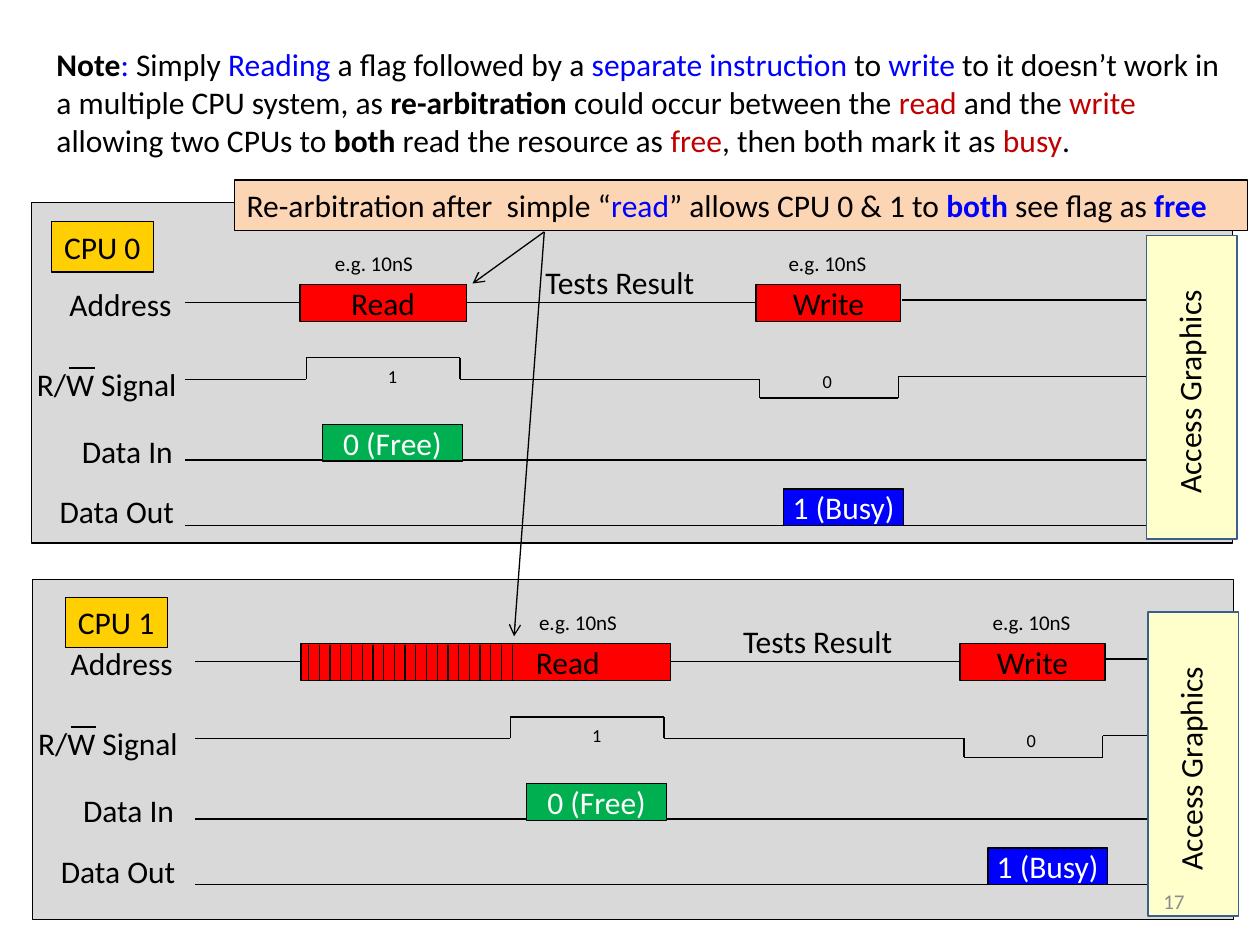
from itertools import pairwise

from lxml import etree
from pptx import Presentation
from pptx.dml.color import RGBColor
from pptx.enum.shapes import MSO_CONNECTOR, MSO_SHAPE
from pptx.enum.text import MSO_ANCHOR, PP_ALIGN
from pptx.oxml.ns import qn
from pptx.util import Inches, Pt

LEFT, CENTER, RIGHT = PP_ALIGN.LEFT, PP_ALIGN.CENTER, PP_ALIGN.RIGHT
TOP, MIDDLE = MSO_ANCHOR.TOP, MSO_ANCHOR.MIDDLE
RECTANGLE, STRAIGHT = MSO_SHAPE.RECTANGLE, MSO_CONNECTOR.STRAIGHT
BLACK, WHITE, BLUE, CRIMSON = "000000", "FFFFFF", "0000FF", "C00000"
RED, GREEN, YELLOW, CREAM = "FF0000", "00B050", "FFCF01", "FFFFCC"

NOTE = [
    ("Note", BLACK, True), (": ", BLUE, False), ("Simply ", BLACK, False),
    ("Reading", BLUE, False), (" a flag followed by a ", BLACK, False),
    ("separate instruction ", BLUE, False), ("to", BLACK, False),
    (" write", BLUE, False),
    (" to it doesn’t work in a multiple CPU system, as ", BLACK, False),
    ("re-arbitration", BLACK, True),
    (" could occur between the ", BLACK, False), ("read", CRIMSON, False),
    (" and the ", BLACK, False), ("write", CRIMSON, False),
    (" allowing two CPUs to ", BLACK, False), ("both", BLACK, True),
    (" read the resource as ", BLACK, False), ("free", CRIMSON, False),
    (", then both mark it as ", BLACK, False), ("busy", CRIMSON, False),
    (".", BLACK, False),
]
CALLOUT = [
    ("Re-arbitration after  simple “", BLACK, False), ("read", BLUE, False),
    ("” allows CPU 0 & 1 to ", BLACK, False), ("both ", BLUE, True),
    ("see flag as ", BLACK, False), ("free", BLUE, True),
]
# Text, left and top of the signal names, from the corner of the timing area
SIGNALS = [("Address", -0.19, 0.6), ("R/W Signal", -0.15, 1.24),
           ("Data In", -0.18, 1.77), ("Data Out", -0.17, 2.25)]
LINE_END = 9.47


def rgb(color):
    return RGBColor.from_string(color)


def write_text(shape, spans, size=18, align=LEFT, anchor=TOP, wrap=False,
               color=BLACK):
    """Fill a shape with a string, or with (text, colour, bold) spans."""
    frame = shape.text_frame
    for name, value in {"word_wrap": wrap, "vertical_anchor": anchor}.items():
        setattr(frame, name, value)
    para = frame.paragraphs[0]
    para.alignment = align
    if isinstance(spans, str):
        spans = [(spans, color, False)]
    for text, span_color, bold in spans:
        span = para.add_run()
        span.text = text
        formats = {"name": "Calibri", "size": Pt(size), "bold": bold}
        for name, value in formats.items():
            setattr(span.font, name, value)
        span.font.color.rgb = rgb(span_color)


def add_text(page, box, spans, **formats):
    text_box = page.shapes.add_textbox(*map(Inches, box))
    write_text(text_box, spans, **formats)
    return text_box


def add_box(page, box, fill, line=BLACK, width=0.75):
    shape = page.shapes.add_shape(RECTANGLE, *map(Inches, box))
    shape.shadow.inherit = False
    shape.fill.solid()
    shape.fill.fore_color.rgb = rgb(fill)
    shape.line.color.rgb = rgb(line)
    shape.line.width = Pt(width)
    return shape


def add_line(page, start, end, arrow=False):
    line = page.shapes.add_connector(STRAIGHT, *map(Inches, (*start, *end)))
    line.line.color.rgb = rgb(BLACK)
    line.line.width = Pt(0.75)
    properties = line._element.spPr
    if arrow:
        etree.SubElement(properties.find(qn("a:ln")), qn("a:tailEnd"),
                         type="arrow")
    etree.SubElement(properties, qn("a:effectLst"))


def add_access_bar(page, left, top):
    add_box(page, (left, top, 0.72, 2.41), CREAM, "3A5F8C", 1)
    label = add_text(page, (left - 0.58, top + 1.04, 1.83, 0.4),
                     "Access Graphics", align=CENTER)
    label.rotation = 270


def add_timing(page, left, top, delay, start, tests_left):
    """Draw the bus signals; delay moves the read and write cycles right."""
    def at(x, y, width, height):
        return left + x, top + y, width, height

    def trace(*points):
        for (x1, y1), (x2, y2) in pairwise(points):
            add_line(page, (left + x1, top + y1), (left + x2, top + y2))

    def cycle(x, y, width, fill, text, color):
        shape = add_box(page, at(x, y, width, 0.29), fill)
        write_text(shape, text, align=CENTER, anchor=MIDDLE, color=color)

    for text, x, y in SIGNALS:
        add_text(page, at(x, y, 1.4, 0.4), text, align=RIGHT, wrap=True)
    trace((0.3, 1.31), (0.5, 1.31))

    read_end, write_start = 3.45 + delay, 5.75 + delay
    trace((start, 0.79), (2.13, 0.79))
    trace((read_end, 0.79), (write_start, 0.79))
    trace((write_start + 1.16, 0.77), (LINE_END, 0.77))
    read = add_box(page, at(2.13, 0.65, 1.32 + delay, 0.29), RED)
    if delay:
        read.text_frame.margin_right = Inches(0.56)
    write_text(read, "Read", align=RIGHT if delay else CENTER, anchor=MIDDLE,
               wrap=True)
    cycle(write_start, 0.65, 1.15, RED, "Write", BLACK)

    rise, fall, drop, back = (x + delay for x in (2.18, 3.4, 5.78, 6.88))
    trace((start, 1.4), (rise, 1.4), (rise, 1.23), (fall, 1.23), (fall, 1.4),
          (drop, 1.4), (drop, 1.55), (back, 1.55), (back, 1.38),
          (LINE_END, 1.38))
    for y in (2.04, 2.56):
        trace((start, y), (LINE_END, y))
    cycle(2.31 + delay, 1.76, 1.11, GREEN, "0 (Free)", WHITE)
    cycle(5.97 + delay, 2.27, 0.95, BLUE, "1 (Busy)", WHITE)

    for bit, x, y in (("1", 2.73, 1.24), ("0", 6.18, 1.28)):
        add_text(page, at(x + delay, y, 0.28, 0.29), bit, size=10.5)
    for x in (2.31, 5.91):
        add_text(page, at(x + delay, 0.33, 0.91, 0.3), "e.g. 10nS", size=12)
    add_text(page, at(tests_left, 0.43, 1.43, 0.4), "Tests Result")


def add_wait_hatch(page, left, top, count=20, step=0.085):
    for index in range(count):
        x = left + index * step
        add_line(page, (x, top), (x, top + 0.28))


def add_cpu_panel(page, left, top, name, name_at, timing_top, **timing):
    add_box(page, (left, top, 9.53, 2.7), "D9D9D9")
    add_timing(page, left, timing_top, **timing)
    name_x, name_y = name_at
    label = add_box(page, (left + name_x, top + name_y, 0.81, 0.4), YELLOW)
    write_text(label, name)
    add_access_bar(page, left + 8.85, top + 0.26)


def add_callout(page, box):
    write_text(add_box(page, box, "FCD5B5"), CALLOUT, wrap=True)
    for target in ((3.75, 2.25), (4.08, 5.05)):
        add_line(page, (4.32, 1.84), target, arrow=True)


def main():
    deck = Presentation()
    deck.slide_width, deck.slide_height = Inches(10), Inches(7.5)
    page = deck.slides.add_slide(deck.slide_layouts[6])
    add_text(page, (0.35, 0.31, 9.44, 1.19), NOTE, wrap=True)
    add_cpu_panel(page, 0.25, 1.61, "CPU 0", (0.16, 0.15), 1.61,
                  delay=0, start=1.22, tests_left=3.98)
    add_cpu_panel(page, 0.26, 4.6, "CPU 1", (0.26, 0.14), 4.46,
                  delay=1.61, start=1.29, tests_left=5.54)
    add_wait_hatch(page, 2.45, 5.12)
    add_text(page, (7.17, 6.95, 2.33, 0.4), "17", size=12, align=RIGHT,
             anchor=MIDDLE, wrap=True, color="8C8C8C")
    add_callout(page, (1.86, 1.43, 8.04, 0.4))
    deck.save("out.pptx")


if __name__ == "__main__":
    main()
